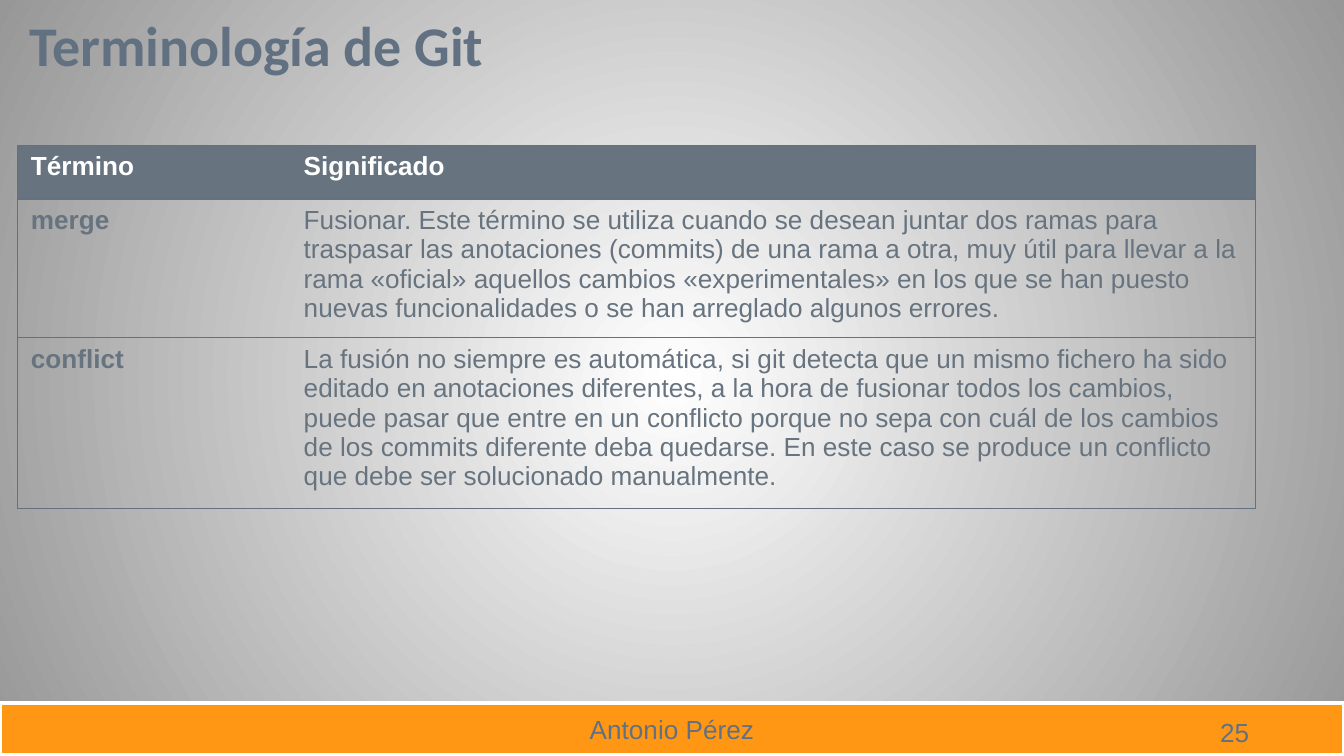
"""Build a slide with a table of Git terms."""
from lxml import etree
from pptx import Presentation
from pptx.dml.color import RGBColor
from pptx.enum.shapes import MSO_SHAPE
from pptx.enum.text import MSO_ANCHOR, PP_ALIGN
from pptx.oxml.ns import qn
from pptx.util import Inches, Pt

RECTANGLE = MSO_SHAPE.RECTANGLE
MIDDLE = MSO_ANCHOR.MIDDLE
CENTER = PP_ALIGN.CENTER
NO_STYLE = "{2D5ABB26-0587-4C30-8999-92F81FD0307C}"
COLORS = {
    "white": "FFFFFF",
    "edge": "979797",
    "orange": "FF9715",
    "slate": "617181",
    "table": "677480",
    "border": "64717E",
}
ROWS = [
    ("Término", "Significado"),
    ("merge", "Fusionar. Este término se utiliza cuando se desean juntar dos ramas para traspasar las anotaciones (commits) de una rama a otra, muy útil para llevar a la rama «oficial» aquellos cambios «experimentales» en los que se han puesto nuevas funcionalidades o se han arreglado algunos errores."),
    ("conflict", "La fusión no siempre es automática, si git detecta que un mismo fichero ha sido editado en anotaciones diferentes, a la hora de fusionar todos los cambios, puede pasar que entre en un conflicto porque no sepa con cuál de los cambios de los commits diferente deba quedarse. En este caso se produce un conflicto que debe ser solucionado manualmente."),
]
COLUMN_WIDTHS = [2.03, 7.18]
ROW_HEIGHTS = [0.4, 1.03, 1.27]


def write(text_frame, text, color, size=14, font="Arial", bold=False):
    text_frame.text = text
    text_frame.word_wrap = True
    run_font = text_frame.paragraphs[0].runs[0].font
    run_font.name = font
    run_font.size = Pt(size)
    run_font.bold = bold
    run_font.color.rgb = RGBColor.from_string(COLORS[color])


def add_border(cell, side):
    properties = cell._tc.get_or_add_tcPr()
    line = etree.SubElement(properties, qn(f"a:ln{side}"), w=str(Pt(0.75)))
    fill = etree.SubElement(line, qn("a:solidFill"))
    etree.SubElement(fill, qn("a:srgbClr"), val=COLORS["border"])


presentation = Presentation()
presentation.slide_width = Inches(10)
presentation.slide_height = Inches(10) * 9 // 16
slide = presentation.slides.add_slide(presentation.slide_layouts[6])

background = slide.background.fill
background.gradient()
for stop, position, color in zip(background.gradient_stops, (0, 1), ("white", "edge")):
    stop.position = position
    stop.color.rgb = RGBColor.from_string(COLORS[color])
gradient = slide.element.find(".//" + qn("a:gradFill"))
gradient.remove(gradient.find(qn("a:lin")))
gradient_path = etree.SubElement(gradient, qn("a:path"), path="circle")
etree.SubElement(gradient_path, qn("a:fillToRect"), l="50000", t="50000", r="50000", b="50000")

footer = slide.shapes.add_shape(RECTANGLE, Inches(0), Inches(5.23), Inches(10), Inches(0.39))
footer.shadow.inherit = False
footer.fill.solid()
footer.fill.fore_color.rgb = RGBColor.from_string(COLORS["orange"])
footer.line.color.rgb = RGBColor.from_string(COLORS["white"])
footer.line.width = Pt(2)
write(footer.text_frame, "Antonio Pérez", "slate")
footer.text_frame.vertical_anchor = MIDDLE
footer.text_frame.paragraphs[0].alignment = CENTER

page_number = slide.shapes.add_textbox(Inches(8.98), Inches(5.28), Inches(0.6), Inches(0.34))
write(page_number.text_frame, "25", "slate")

title = slide.shapes.add_textbox(Inches(0.12), Inches(0.03), Inches(9.53), Inches(0.61))
write(title.text_frame, "Terminología de Git", "slate", 30, "Calibri", True)

table_frame = slide.shapes.add_table(
    len(ROWS), len(COLUMN_WIDTHS), Inches(0.13), Inches(1.08),
    Inches(sum(COLUMN_WIDTHS)), Inches(sum(ROW_HEIGHTS)))
table = table_frame.table
table.first_row = False
table.horz_banding = False
table_frame.element.find(".//" + qn("a:tableStyleId")).text = NO_STYLE
for column, width in zip(table.columns, COLUMN_WIDTHS):
    column.width = Inches(width)
for row, height in zip(table.rows, ROW_HEIGHTS):
    row.height = Inches(height)

for row_index, texts in enumerate(ROWS):
    is_header = row_index == 0
    for column_index, text in enumerate(texts):
        cell = table.cell(row_index, column_index)
        write(cell.text_frame, text, "white" if is_header else "table",
              bold=is_header or column_index == 0)
        for side in ("LTB", "RTB")[column_index]:
            add_border(cell, side)
        if is_header:
            cell.fill.solid()
            cell.fill.fore_color.rgb = RGBColor.from_string(COLORS["table"])
        else:
            cell.fill.background()

presentation.save("out.pptx")
